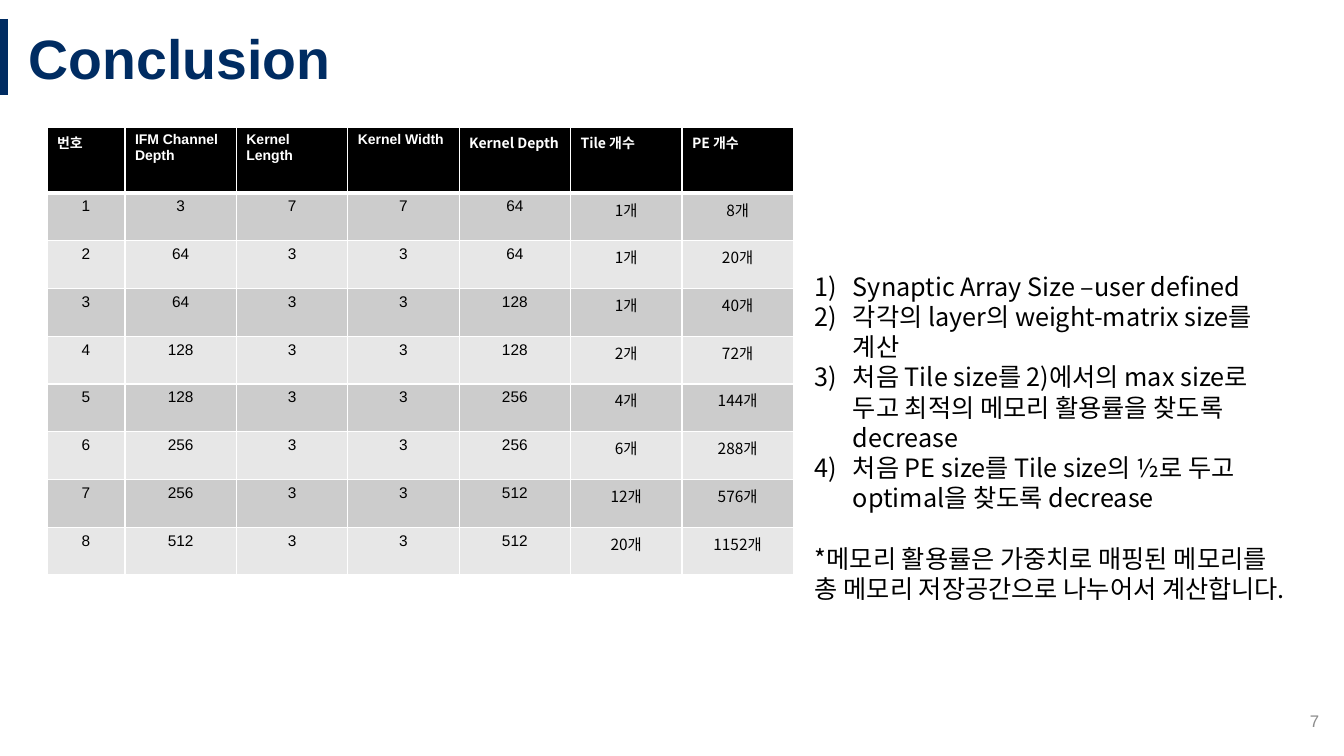
"""Builds the Conclusion slide: layer table beside the method notes."""
from lxml.etree import SubElement
from pptx import Presentation
from pptx.dml.color import RGBColor
from pptx.enum.shapes import MSO_CONNECTOR
from pptx.enum.text import MSO_ANCHOR, PP_ALIGN
from pptx.oxml.ns import qn
from pptx.util import Emu, Pt

NAVY = RGBColor(0x00, 0x2C, 0x62)
GRAY = RGBColor(0x8C, 0x8C, 0x8C)
BLACK = RGBColor(0x00, 0x00, 0x00)
WHITE = RGBColor(0xFF, 0xFF, 0xFF)
DARK = RGBColor(0xCC, 0xCC, 0xCC)
LIGHT = RGBColor(0xE7, 0xE7, 0xE7)
SANS = "Arial"
NOTO = "Noto Sans CJK KR"


def px(*nums):
    return [Emu(round(n * 914400 / 100.8)) for n in nums]


def write(para, text, color, **form):
    run = para.add_run()
    run.text = text
    for key, val in form.items():
        setattr(run.font, key, val)
    run.font.color.rgb = color
    SubElement(run.font._element, qn("a:ea"), typeface=NOTO)


deck = Presentation()
deck.slide_width, deck.slide_height = px(1344, 756)
slide = deck.slides.add_slide(deck.slide_layouts[6])
shapes = slide.shapes

bar = shapes.add_connector(MSO_CONNECTOR.STRAIGHT, *px(4, 19, 4, 95))
bar.line.color.rgb = NAVY
bar.line.width = Pt(6)
SubElement(bar._element.spPr, qn("a:effectLst"))

labels = [
    ((19, 19, 1325, 76), "Conclusion", PP_ALIGN.LEFT, NAVY, 39.6, True),
    ((1027, 701, 302, 40), "7", PP_ALIGN.RIGHT, GRAY, 12, False),
]
for place, text, align, color, size, bold in labels:
    frame = shapes.add_textbox(*px(*place)).text_frame
    frame.word_wrap = True
    frame.vertical_anchor = MSO_ANCHOR.MIDDLE
    para = frame.paragraphs[0]
    para.alignment = align
    write(para, text, color, name=SANS, size=Pt(size), bold=bold)

heads = ["번호", "IFM Channel Depth", "Kernel Length", "Kernel Width",
         "Kernel Depth", "Tile 개수", "PE 개수"]
layers = [
    (3, 7, 64, 1, 8),
    (64, 3, 64, 1, 20),
    (64, 3, 128, 1, 40),
    (128, 3, 128, 2, 72),
    (128, 3, 256, 4, 144),
    (256, 3, 256, 6, 288),
    (256, 3, 512, 12, 576),
    (512, 3, 512, 20, 1152),
]
rows = [heads] + [
    [num, depth, side, side, out, f"{tile}개", f"{unit}개"]
    for num, (depth, side, out, tile, unit) in enumerate(layers, 1)
]
grid = shapes.add_table(len(rows), len(heads), *px(47, 127, 746, 448)).table
for col, wide in zip(grid.columns, px(78, *[111.4] * 6)):
    col.width = wide
for row, high in zip(grid.rows, px(66, *[47.75] * 8)):
    row.height = high

for r, row in enumerate(rows):
    top = r == 0
    fill = BLACK if top else DARK if r % 2 else LIGHT
    for c, text in enumerate(row):
        cell = grid.cell(r, c)
        para = cell.text_frame.paragraphs[0]
        para.alignment = PP_ALIGN.LEFT if top else PP_ALIGN.CENTER
        face = NOTO if c > 4 or top and c == 4 else SANS
        write(para, str(text), WHITE if top else BLACK, name=face,
              size=Pt(10 if top else 11), bold=top)
        props = cell._tc.get_or_add_tcPr()
        for side in ("lnL", "lnR", "lnT", "lnB"):
            thick = top and side == "lnB" or r == 1 and side == "lnT"
            edge = SubElement(props, qn(f"a:{side}"), w=str(Pt(3 if thick else 1)))
            paint = SubElement(edge, qn("a:solidFill"))
            SubElement(paint, qn("a:srgbClr"), val=str(WHITE))
        cell.fill.solid()
        cell.fill.fore_color.rgb = fill

steps = [
    "Synaptic Array Size –user defined",
    "각각의 layer의 weight-matrix size를 계산",
    "처음 Tile size를 2)에서의 max size로 두고 최적의 메모리 활용률을 찾도록 decrease",
    "처음 PE size를 Tile size의 ½로 두고 optimal을 찾도록 decrease",
]
note = "*메모리 활용률은 가중치로 매핑된 메모리를 총 메모리 저장공간으로 나누어서 계산합니다."
frame = shapes.add_textbox(*px(805, 266, 492, 377)).text_frame
frame.word_wrap = True
for i, text in enumerate(steps + [note]):
    para = frame.paragraphs[0] if i == 0 else frame.add_paragraph()
    if text == note:
        para.space_before = Pt(21.6)
    else:
        props = para._p.get_or_add_pPr()
        indent = px(38)[0]
        props.set("marL", str(indent))
        props.set("indent", str(-indent))
        SubElement(props, qn("a:buFont"), typeface=NOTO)
        SubElement(props, qn("a:buAutoNum"), type="arabicParenR")
    write(para, text, BLACK, name=NOTO, size=Pt(18))

deck.save("out.pptx")
